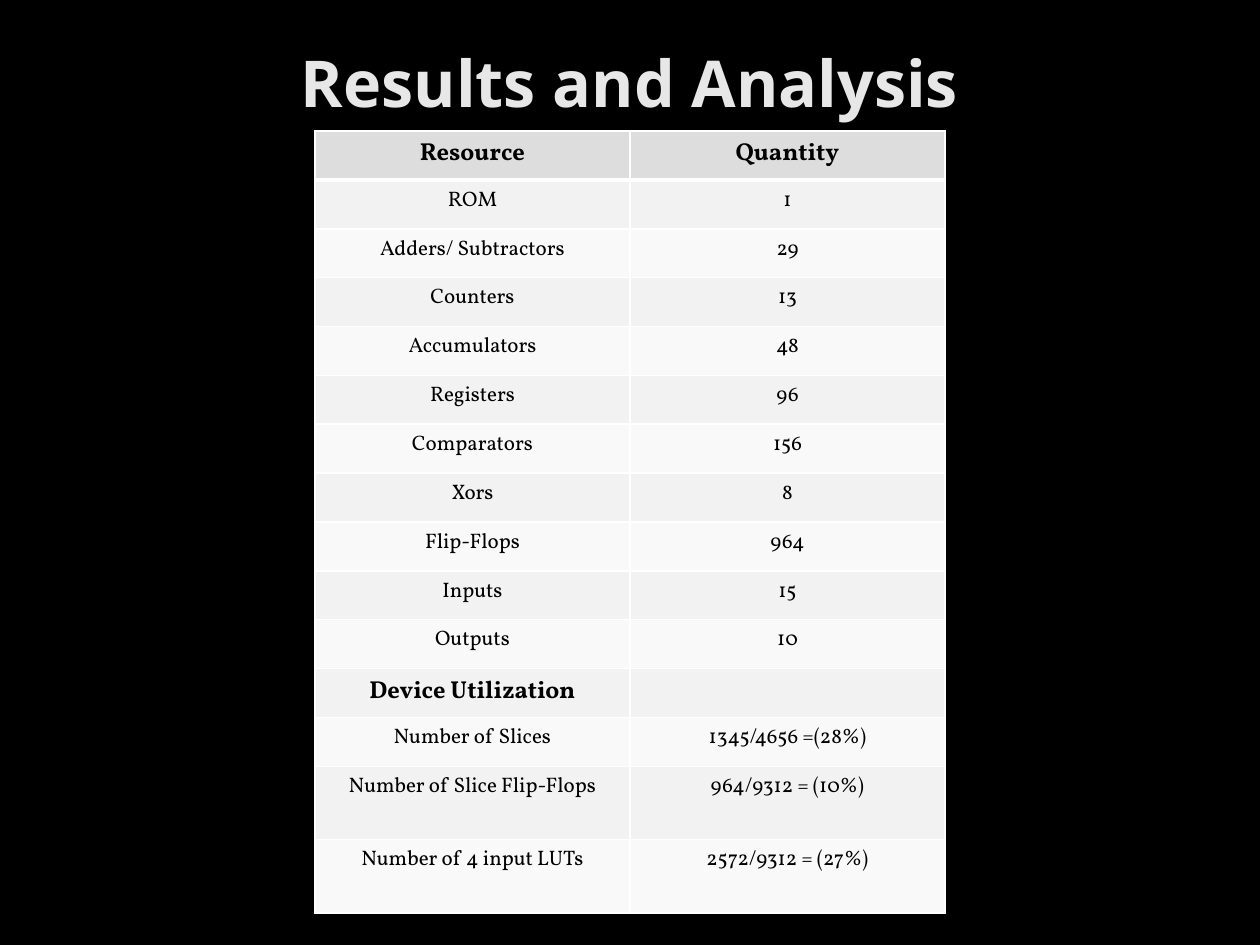
import pptx
import pptx.dml.color
import pptx.enum.text
import pptx.oxml
import pptx.oxml.ns
import pptx.util
from pptx.util import Inches

RESOURCES = [
    ("Resource", "Quantity"),
    ("ROM", "1"),
    ("Adders/ Subtractors", "29"),
    ("Counters", "13"),
    ("Accumulators", "48"),
    ("Registers", "96"),
    ("Comparators", "156"),
    ("Xors", "8"),
    ("Flip-Flops", "964"),
    ("Inputs", "15"),
    ("Outputs", "10"),
    ("Device Utilization", ""),
    ("Number of Slices", "1345/4656 =(28%)"),
    ("Number of Slice Flip-Flops", "964/9312 = (10%)"),
    ("Number of 4 input LUTs", "2572/9312 = (27%)"),
]
HEADING_ROWS = (0, 11)
TALL_ROWS = (13, 14)
TABLE_HEIGHT = 6.21


def color(hex_string):
    return pptx.dml.color.RGBColor.from_string(hex_string)


def format_paragraph(paragraph, font_name, size, hex_string, bold):
    paragraph.alignment = pptx.enum.text.PP_ALIGN.CENTER
    paragraph.font.name = font_name
    paragraph.font.size = pptx.util.Pt(size)
    paragraph.font.bold = bold
    paragraph.font.color.rgb = color(hex_string)


def add_title(slide, text):
    title = slide.shapes.title
    title.left, title.top = Inches(0.5), Inches(0.3)
    title.width, title.height = Inches(9), Inches(0.7)
    frame = title.text_frame
    frame.text = text
    frame.vertical_anchor = pptx.enum.text.MSO_ANCHOR.MIDDLE
    format_paragraph(frame.paragraphs[0], "Open Sans", 36.9, "E7E7E7", True)


def set_borders(cell, hex_string, widths):
    properties = cell._tc.get_or_add_tcPr()
    for position, (side, width) in enumerate(widths.items()):
        line = pptx.oxml.parse_xml(
            f'<a:ln{side} {pptx.oxml.ns.nsdecls("a")} w="{pptx.util.Pt(width)}">'
            f'<a:solidFill><a:srgbClr val="{hex_string}"/></a:solidFill></a:ln{side}>'
        )
        properties.insert(position, line)


def fill_cell(cell, text, row_index):
    heading = row_index in HEADING_ROWS
    cell.text = text
    cell.margin_bottom = 0
    size = 14 if heading else 12
    format_paragraph(cell.text_frame.paragraphs[0], "Vollkorn", size, "000000", heading)
    band = "F2F2F2" if row_index % 2 else "F9F9F9"
    cell.fill.solid()
    cell.fill.fore_color.rgb = color("DDDDDD" if row_index == 0 else band)
    top = 3 if row_index == 1 else 1
    bottom = 3 if row_index == 0 else 1
    set_borders(cell, "FFFFFF", {"L": 1, "R": 1, "T": top, "B": bottom})


def add_resource_table(slide):
    table = slide.shapes.add_table(
        len(RESOURCES), 2, Inches(2.5), Inches(1.04), Inches(5), Inches(TABLE_HEIGHT)
    ).table
    row_units = [1.5 if index in TALL_ROWS else 1 for index in range(len(RESOURCES))]
    for row_index, (row, texts) in enumerate(zip(table.rows, RESOURCES)):
        row.height = Inches(TABLE_HEIGHT * row_units[row_index] / sum(row_units))
        for cell, text in zip(row.cells, texts):
            fill_cell(cell, text, row_index)


def main():
    presentation = pptx.Presentation()
    presentation.slide_width = Inches(10)
    presentation.slide_height = Inches(7.5)
    slide = presentation.slides.add_slide(presentation.slide_layouts[5])
    slide.background.fill.solid()
    slide.background.fill.fore_color.rgb = color("000000")
    add_title(slide, "Results and Analysis")
    add_resource_table(slide)
    presentation.save("out.pptx")


if __name__ == "__main__":
    main()
